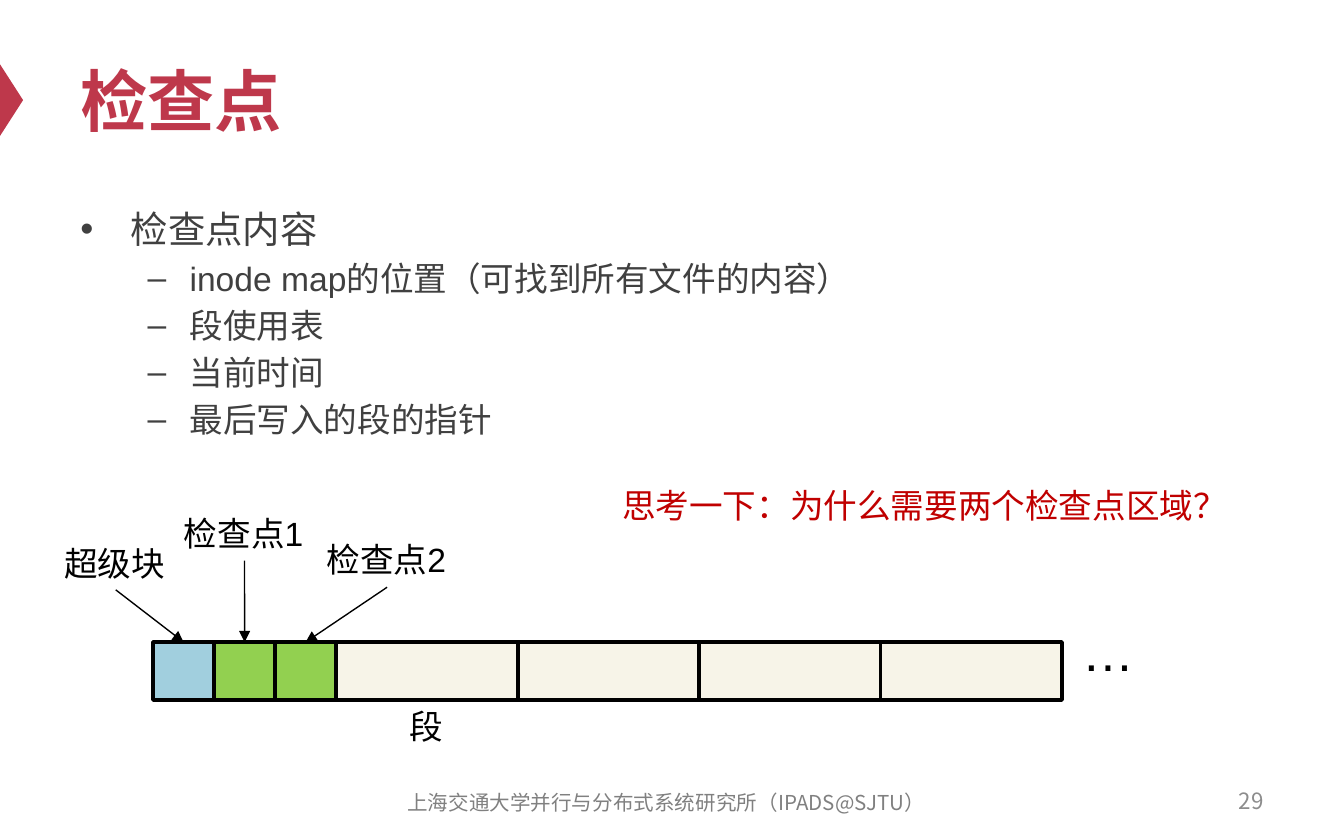
"""Build the slide on checkpoints in a log-structured file system."""
import pptx
import pptx.util
import pptx.dml.color
import pptx.enum.dml
import pptx.enum.lang
import pptx.enum.shapes
import pptx.enum.text
import pptx.oxml
import pptx.oxml.ns
from dataclasses import dataclass

Pt = pptx.util.Pt
Align = pptx.enum.text.PP_ALIGN
Anchor = pptx.enum.text.MSO_ANCHOR
Preset = pptx.enum.shapes.MSO_SHAPE


@dataclass(frozen=True)
class Theme:
    accent: str = "BE384B"
    body: str = "404040"
    ink: str = "000000"
    question: str = "C00000"
    footer: str = "808080"
    number: str = "8C8C8C"
    superblock: str = "A1CFDE"
    checkpoint: str = "92D050"
    segment: str = "F7F4E8"
    latin: str = "Arial"
    chinese: str = "Noto Sans CJK SC"
    title_size: int = 36
    dots_size: int = 28
    topic_size: int = 20
    text_size: int = 18
    number_size: int = 12
    footer_size: int = 11


THEME = Theme()

TITLE = "检查点"
TOPIC = "检查点内容"
DETAILS = [
    "inode map的位置（可找到所有文件的内容）",
    "段使用表",
    "当前时间",
    "最后写入的段的指针",
]
QUESTION = "思考一下：为什么需要两个检查点区域？"
FOOTER = "上海交通大学并行与分布式系统研究所（IPADS@SJTU）"
PAGE = "29"

DISK_LEFT, DISK_TOP, DISK_HEIGHT = 82, 344, 31
BLOCK_WIDTH, SEGMENT_WIDTH = 32.7, 97.2
DISK = (
    [(BLOCK_WIDTH, THEME.superblock)]
    + [(BLOCK_WIDTH, THEME.checkpoint)] * 2
    + [(SEGMENT_WIDTH, THEME.segment)] * 4
)
DISK_LABELS = [
    ("超级块", (27.4, 287.3, 69, 29), False, (62, 316)),
    ("检查点1", (91.4, 271.4, 79, 29), True, (131, 300.3)),
    ("检查点2", (167.8, 285.1, 79, 29), True, (207.4, 314.6)),
]


def color(value):
    return pptx.dml.color.RGBColor.from_string(value)


def element(tag, **attributes):
    node = pptx.oxml.parse_xml(f"<{tag} {pptx.oxml.ns.nsdecls('a')}/>")
    for key, value in attributes.items():
        node.set(key, str(value))
    return node


def write(paragraph, text, size=THEME.text_size, ink=THEME.ink, latin=THEME.latin,
          bold=False, align=None, before=0, bullet=None, margin=0, hang=0):
    if bullet:
        properties = paragraph._p.get_or_add_pPr()
        properties.set("marL", str(Pt(margin)))
        properties.set("indent", str(-Pt(hang)))
        properties.append(element("a:buFont", typeface=THEME.latin))
        properties.append(element("a:buChar", char=bullet))
    paragraph.alignment = align
    paragraph.space_before = Pt(before)
    run = paragraph.add_run()
    run.text = text
    font = run.font
    font.size, font.bold, font.name = Pt(size), bold, latin
    font.color.rgb = color(ink)
    font.language_id = pptx.enum.lang.MSO_LANGUAGE_ID.SIMPLIFIED_CHINESE
    font._element.append(element("a:ea", typeface=THEME.chinese))


def add_frame(slide, box, wrap=True, anchor=Anchor.TOP):
    frame = slide.shapes.add_textbox(*map(Pt, box)).text_frame
    frame.word_wrap = wrap
    frame.vertical_anchor = anchor
    return frame


def add_text(slide, text, box, wrap=True, anchor=Anchor.TOP, **style):
    write(add_frame(slide, box, wrap, anchor).paragraphs[0], text, **style)


def add_block(slide, preset, box, fill, outline=None):
    block = slide.shapes.add_shape(preset, *map(Pt, box))
    block.shadow.inherit = False
    block.fill.solid()
    block.fill.fore_color.rgb = color(fill)
    if outline:
        block.line.color.rgb = color(outline)
        block.line.width = Pt(2)
    else:
        block.line.fill.background()
    return block


def add_arrow(slide, start, end):
    arrow = slide.shapes.add_connector(
        pptx.enum.shapes.MSO_CONNECTOR.STRAIGHT, *map(Pt, start + end))
    arrow.line.color.rgb = color(THEME.ink)
    arrow.line.width = Pt(0.75)
    arrow.line._get_or_add_ln().append(element("a:tailEnd", type="triangle"))
    arrow._element.spPr.append(element("a:effectLst"))


def add_heading(slide):
    marker = add_block(slide, Preset.ISOSCELES_TRIANGLE, (-12.9, 47.5, 38.2, 12.3), THEME.accent)
    marker.rotation = 90
    add_text(slide, TITLE, (36, 18, 648, 70.6), anchor=Anchor.MIDDLE,
             size=THEME.title_size, ink=THEME.accent, bold=True)


def add_outline(slide):
    outline = add_frame(slide, (36, 107, 648, 295))
    write(outline.paragraphs[0], TOPIC, size=THEME.topic_size, ink=THEME.body,
          bullet="•", margin=27, hang=27)
    for detail in DETAILS:
        write(outline.add_paragraph(), detail, ink=THEME.body, before=3.6,
              bullet="–", margin=58.5, hang=22.5)
    add_text(slide, QUESTION, (326.2, 256.3, 345, 29), wrap=False, ink=THEME.question)


def add_disk(slide):
    left = DISK_LEFT
    for width, fill in DISK:
        add_block(slide, Preset.RECTANGLE, (left, DISK_TOP, width, DISK_HEIGHT), fill, THEME.ink)
        left += width
    add_text(slide, "…", (left + 3.6, 328.3, 42.5, 41), wrap=False, size=THEME.dots_size)
    add_text(slide, "段", (212.4, 374.4, 32.4, 29), wrap=False)
    for index, (label, box, wrap, start) in enumerate(DISK_LABELS):
        add_text(slide, label, box, wrap=wrap)
        add_arrow(slide, start, (DISK_LEFT + (index + 0.5) * BLOCK_WIDTH, DISK_TOP))


def add_footer(slide):
    add_text(slide, FOOTER, (201, 417.6, 312, 24), anchor=Anchor.MIDDLE, align=Align.CENTER,
             size=THEME.footer_size, ink=THEME.footer, latin=THEME.chinese)
    add_text(slide, PAGE, (516, 417, 168, 24), anchor=Anchor.MIDDLE, align=Align.RIGHT,
             size=THEME.number_size, ink=THEME.number, latin=THEME.chinese)


def main():
    deck = pptx.Presentation()
    deck.slide_width, deck.slide_height = Pt(720), Pt(450)
    slide = deck.slides.add_slide(deck.slide_layouts[6])
    add_heading(slide)
    add_footer(slide)
    add_disk(slide)
    add_outline(slide)
    deck.save("out.pptx")


if __name__ == "__main__":
    main()
